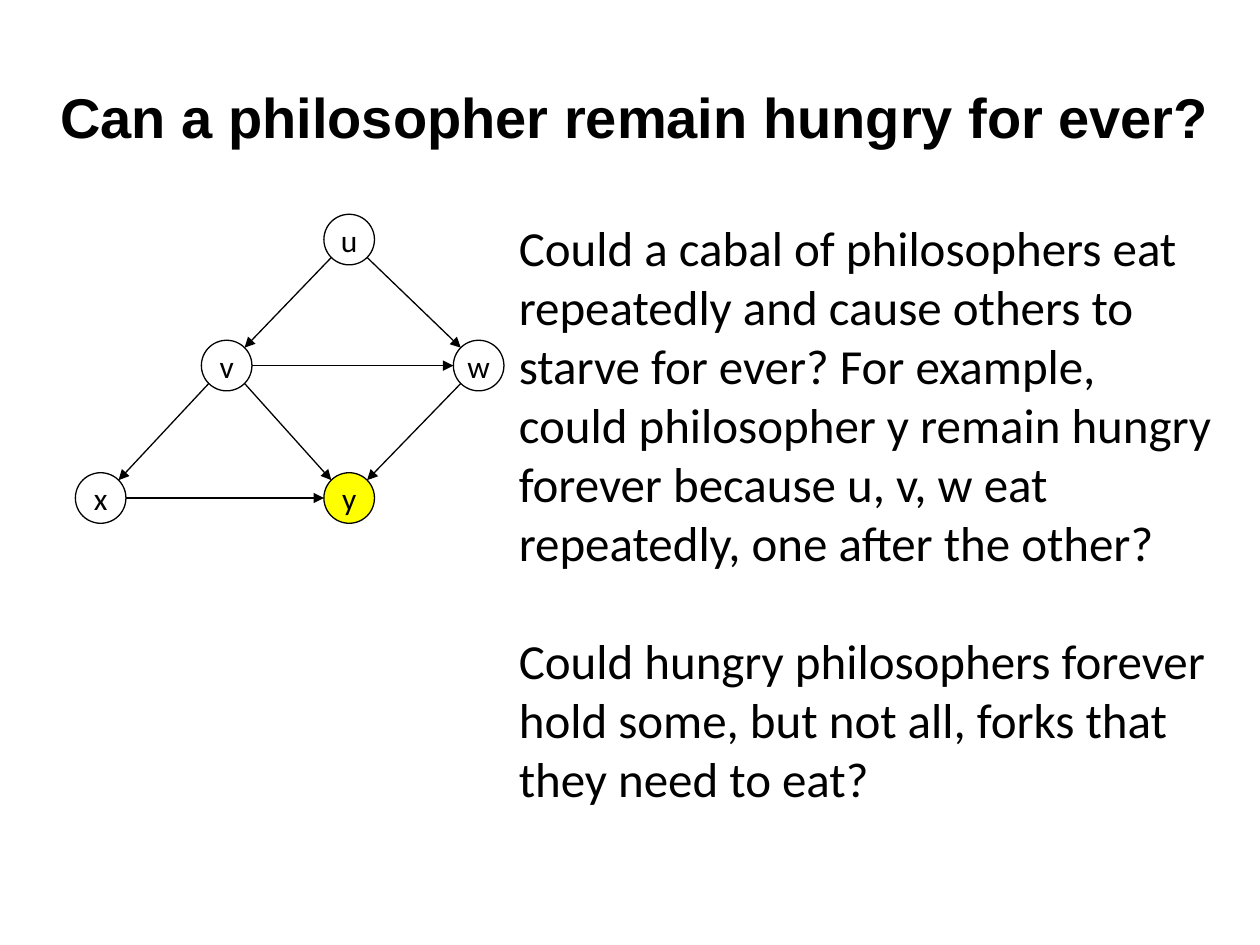
import math
from lxml import etree
from pptx import Presentation
from pptx import util as u
from pptx.dml.color import RGBColor
from pptx.enum import shapes, text
from pptx.oxml.ns import qn

COLORS = {"ink": "000000", "hungry": "FFFF00"}
DIAMETER = 1.02
RADIUS = DIAMETER / 2


def write(para, words, font="Calibri", size=18, bold=False, align=text.PP_ALIGN.LEFT):
    para.alignment = align
    span = para.add_run()
    span.text = words
    span.font.name = font
    span.font.size = u.Pt(size)
    span.font.bold = bold
    span.font.color.rgb = RGBColor.from_string(COLORS["ink"])


def reach(start, end):
    dx, dy = end[0] - start[0], end[1] - start[1]
    step = RADIUS * math.sqrt(0.5) if dx and dy else RADIUS
    return [math.copysign(step, delta) if delta else 0 for delta in (dx, dy)]


deck = Presentation()
deck.slide_width, deck.slide_height = u.Cm(25.4), u.Cm(19.05)
page = deck.slides.add_slide(deck.slide_layouts[5])

title = page.shapes.title
title.left, title.top = u.Cm(0.89), u.Cm(0.76)
title.width, title.height = u.Cm(23.83), u.Cm(3.18)
title.text_frame.vertical_anchor = text.MSO_ANCHOR.MIDDLE
write(title.text_frame.paragraphs[0], "Can a philosopher remain hungry for ever?",
      font="Arial", size=32, bold=True, align=text.PP_ALIGN.CENTER)

philosophers = {
    "u": (7.04, 4.83),
    "v": (4.57, 7.37),
    "w": (9.65, 7.37),
    "y": (7.04, 10.04),
    "x": (2.03, 10.04),
}
graph = page.shapes.add_group_shape()
for name, (x, y) in philosophers.items():
    node = graph.shapes.add_shape(
        shapes.MSO_SHAPE.OVAL, u.Cm(x - RADIUS), u.Cm(y - RADIUS), u.Cm(DIAMETER), u.Cm(DIAMETER))
    node.shadow.inherit = False
    if name == "y":
        node.fill.solid()
        node.fill.fore_color.rgb = RGBColor.from_string(COLORS["hungry"])
    else:
        node.fill.background()
    node.line.color.rgb = RGBColor.from_string(COLORS["ink"])
    node.line.width = u.Pt(0.75)
    node.text_frame.word_wrap = False
    node.text_frame.vertical_anchor = text.MSO_ANCHOR.MIDDLE
    write(node.text_frame.paragraphs[0], name, align=text.PP_ALIGN.CENTER)

for tail, head in ("uv", "uw", "vw", "vx", "xy", "vy", "wy"):
    start, end = philosophers[tail], philosophers[head]
    dx, dy = reach(start, end)
    arrow = graph.shapes.add_connector(
        shapes.MSO_CONNECTOR.STRAIGHT,
        u.Cm(start[0] + dx), u.Cm(start[1] + dy), u.Cm(end[0] - dx), u.Cm(end[1] - dy))
    arrow.line.color.rgb = RGBColor.from_string(COLORS["ink"])
    arrow.line.width = u.Pt(0.75)
    etree.SubElement(arrow.line._get_or_add_ln(), qn("a:tailEnd"), type="triangle")
    etree.SubElement(arrow._element.spPr, qn("a:effectLst"))

box = page.shapes.add_textbox(u.Cm(10.21), u.Cm(4.27), u.Cm(14.5), u.Cm(12.22))
box.text_frame.word_wrap = True
box.text_frame.auto_size = text.MSO_AUTO_SIZE.SHAPE_TO_FIT_TEXT
cabal = box.text_frame.paragraphs[0]
write(cabal, "Could a cabal of philosophers eat repeatedly and cause others to starve for ever? "
      "For example, could philosopher y remain hungry forever because u, v, w eat repeatedly, "
      "one after the other?", size=28)
forks = box.text_frame.add_paragraph()
forks.space_before = u.Pt(34)
write(forks, "Could hungry philosophers forever hold some, but not all, forks that they need to eat?",
      size=28)

deck.save("out.pptx")
